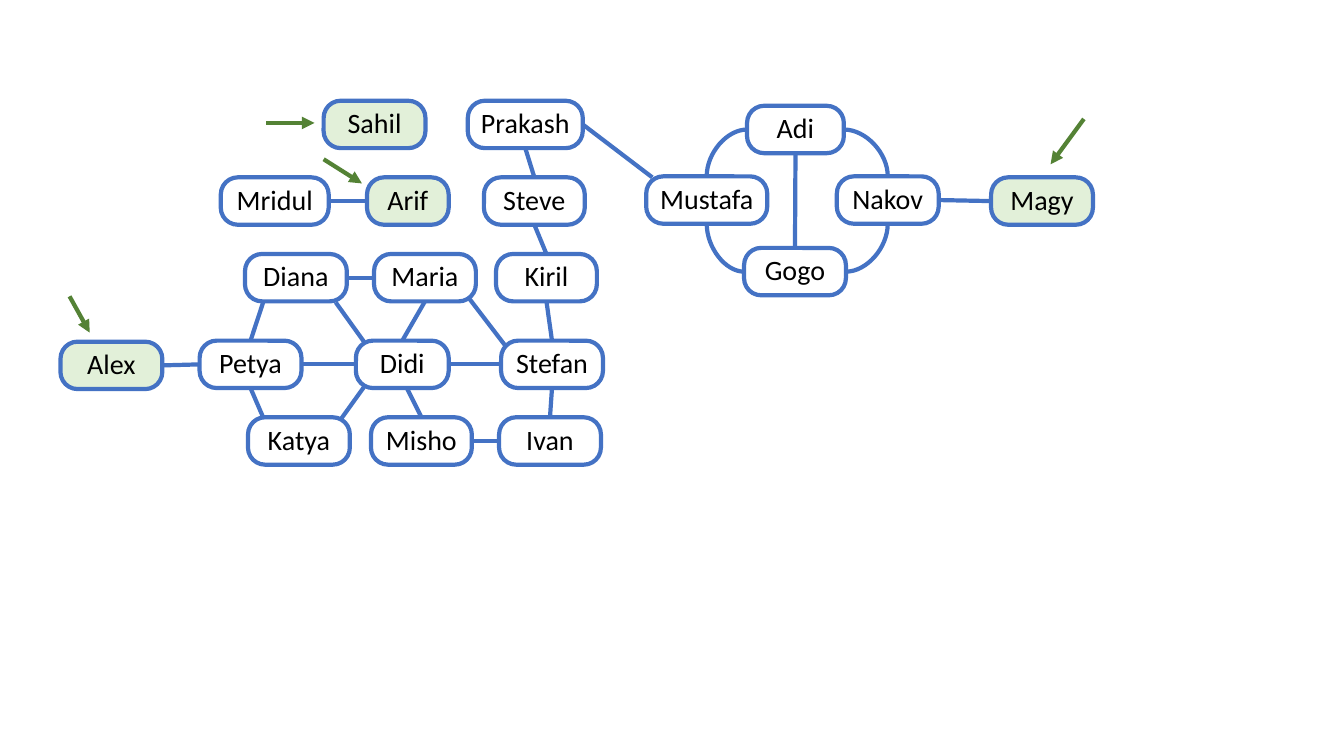
from lxml import etree
from pptx import Presentation
from pptx import util as u
from pptx.dml.color import RGBColor
from pptx.enum import shapes, text
from pptx.oxml import ns

COLORS = {"blue": "4472C4", "green": "548235", "pale": "E2F0D9",
          "white": "FFFFFF", "black": "000000"}
SIDES = {"top": 0, "left": 1, "bottom": 2, "right": 3}
HIGH = 0.47  # height of every name box


def color(name):
    return RGBColor.from_string(COLORS[name])


def write(frame, words, size=20, font="Calibri", ink="black",
          align=text.PP_ALIGN.CENTER):
    par = frame.paragraphs[0]
    par.alignment = align
    run = par.add_run()
    run.text = words
    run.font.size = u.Pt(size)
    run.font.name = font
    run.font.color.rgb = color(ink)


class Graph:
    """Style and slide of the friendship graph."""

    def __init__(self, slide, width=3):
        self.slide = slide
        self.width = u.Pt(width)
        self.boxes = {}

    def node(self, name, left, top, wide, fill="white"):
        box = self.slide.shapes.add_shape(
            shapes.MSO_SHAPE.ROUNDED_RECTANGLE,
            u.Inches(left), u.Inches(top), u.Inches(wide), u.Inches(HIGH))
        box.adjustments[0] = 0.36
        box.shadow.inherit = False
        box.fill.solid()
        box.fill.fore_color.rgb = color(fill)
        box.line.color.rgb = color("blue")
        box.line.width = self.width
        frame = box.text_frame
        frame.margin_left = frame.margin_right = frame.margin_top = 0
        frame.margin_bottom = u.Inches(0.04)
        frame.vertical_anchor = text.MSO_ANCHOR.MIDDLE
        frame.auto_size = text.MSO_AUTO_SIZE.SHAPE_TO_FIT_TEXT
        write(frame, name)
        self.boxes[name] = box

    def link(self, start, end, ink="blue", kind=shapes.MSO_CONNECTOR.STRAIGHT):
        """Join two ends, each a point or a (name, side) pair."""
        spots = [(0, 0) if e[0] in self.boxes else e for e in (start, end)]
        line = self.slide.shapes.add_connector(
            kind, *(u.Inches(v) for spot in spots for v in spot))
        for e, join in ((start, line.begin_connect), (end, line.end_connect)):
            if e[0] in self.boxes:
                join(self.boxes[e[0]], SIDES[e[1]])
        line.line.color.rgb = color(ink)
        line.line.width = self.width
        etree.SubElement(line._element.spPr, ns.qn("a:effectLst"))
        return line

    def curve(self, start, end):
        line = self.link(start, end, kind=shapes.MSO_CONNECTOR.CURVE)
        geom = line._element.spPr.find(ns.qn("a:prstGeom"))
        geom.set("prst", "curvedConnector2")

    def arrow(self, start, end):
        line = self.link(start, end, ink="green")
        tail = etree.SubElement(line.line._get_or_add_ln(), ns.qn("a:tailEnd"))
        tail.set("type", "triangle")


deck = Presentation()
deck.slide_width, deck.slide_height = u.Inches(13.33), u.Inches(7.5)
graph = Graph(deck.slides.add_slide(deck.slide_layouts[6]))

# People, row by row: top, then name, left and width
ROWS = [
    (1.00, [("Sahil", 3.21, 1.01), ("Prakash", 4.64, 1.14)]),
    (1.05, [("Adi", 7.41, 0.96)]),
    (1.76, [("Mridul", 2.19, 1.07), ("Arif", 3.64, 0.81), ("Steve", 4.8, 1),
            ("Magy", 9.83, 1.01)]),
    (1.75, [("Mustafa", 6.41, 1.2), ("Nakov", 8.3, 1.01)]),
    (2.46, [("Gogo", 7.38, 1.01)]),
    (2.52, [("Diana", 2.43, 1.01), ("Maria", 3.71, 1.01), ("Kiril", 4.92, 1)]),
    (3.38, [("Petya", 1.98, 1.01), ("Didi", 3.53, 0.92),
            ("Stefan", 4.97, 1.01)]),
    (3.39, [("Alex", 0.6, 1.01)]),
    (4.14, [("Katya", 2.46, 1.01), ("Misho", 3.68, 1), ("Ivan", 4.95, 1.01)]),
]
MARKED = {"Sahil", "Arif", "Magy", "Alex"}
for top, people in ROWS:
    for name, left, wide in people:
        graph.node(name, left, top, wide,
                   fill="pale" if name in MARKED else "white")

# Links side by side
for one, two in [("Mridul", "Arif"), ("Diana", "Maria"), ("Alex", "Petya"),
                 ("Petya", "Didi"), ("Didi", "Stefan"), ("Misho", "Ivan"),
                 ("Nakov", "Magy")]:
    graph.link((one, "right"), (two, "left"))

# Links from one row down to the next
for one, two in [("Prakash", "Steve"), ("Steve", "Kiril"), ("Kiril", "Stefan"),
                 ("Stefan", "Ivan"), ("Maria", "Didi"), ("Adi", "Gogo")]:
    graph.link((one, "bottom"), (two, "top"))

# Links that meet a box off the middle of its side
for start, end in [
    ((2.61, 3), ("Petya", "top")),
    (("Petya", "bottom"), (2.61, 4.14)),
    ((3.33, 3), (3.61, 3.39)),
    ((3.61, 3.84), (3.38, 4.16)),
    ((4.04, 3.86), ("Misho", "top")),
    ((4.66, 2.97), (5.02, 3.44)),
    (("Prakash", "right"), (6.47, 1.76)),
]:
    graph.link(start, end)

# Ring around Adi and Gogo
for hub, edge in [("Adi", "top"), ("Gogo", "bottom")]:
    for side, name in [("left", "Mustafa"), ("right", "Nakov")]:
        graph.curve((hub, side), (name, edge))

# Arrows to the marked people
for start, end in [((2.64, 1.22), (3.12, 1.22)), ((3.21, 1.58), (3.59, 1.82)),
                   ((0.69, 2.94), (0.89, 3.3)), ((10.75, 1.18), (10.42, 1.63))]:
    graph.arrow(start, end)

deck.save("out.pptx")
